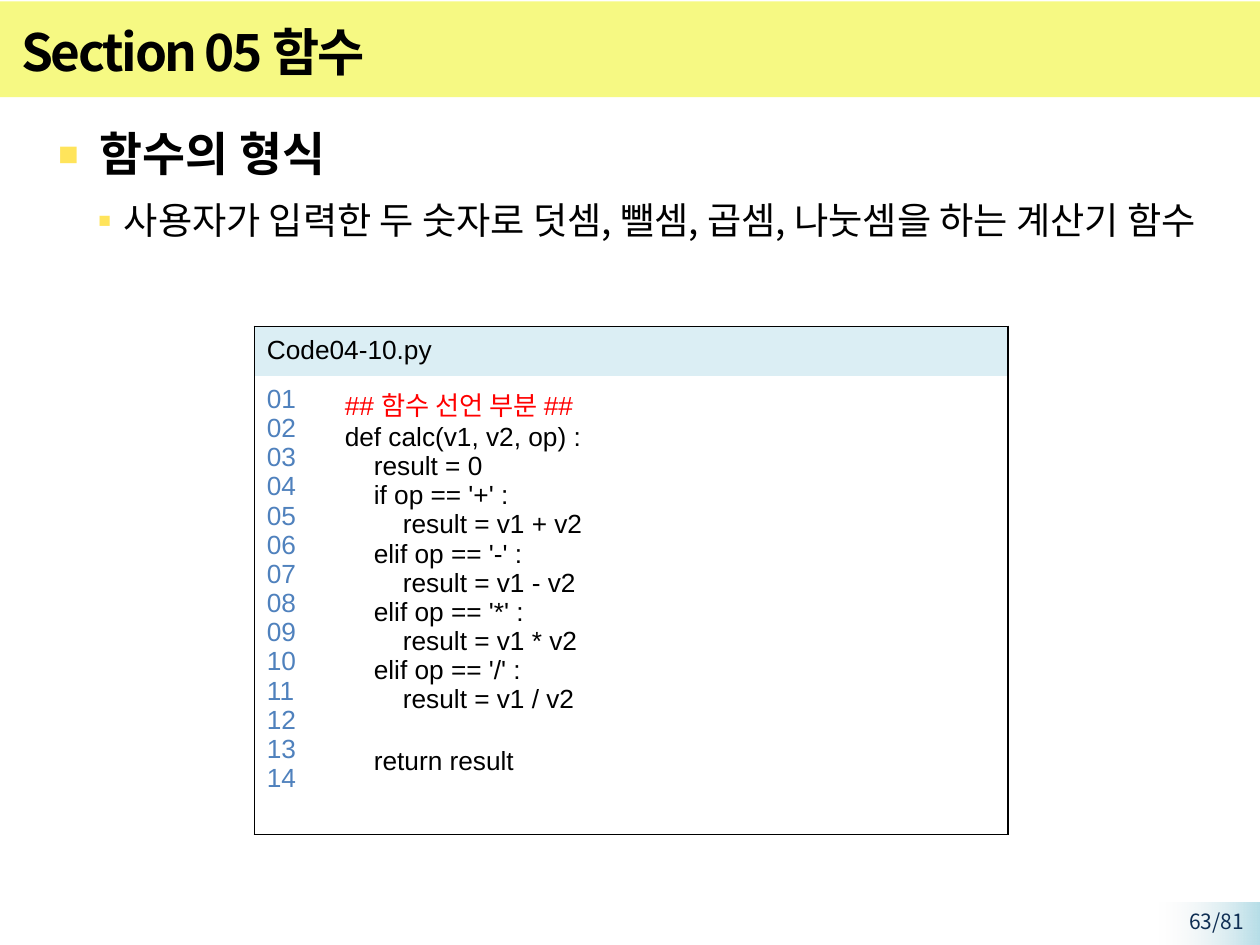
import pptx
import pptx.dml.color
import pptx.enum.shapes
import pptx.enum.text
import pptx.oxml
import pptx.oxml.ns
import pptx.util
from lxml import etree

Cm, Pt = pptx.util.Cm, pptx.util.Pt
qn = pptx.oxml.ns.qn
NOTO = "Noto Sans CJK KR"
NO_STYLE = "{2D5ABB26-0587-4C30-8999-92F81FD0307C}"
CODE = """## 함수 선언 부분 ##
def calc(v1, v2, op) :
    result = 0
    if op == '+' :
        result = v1 + v2
    elif op == '-' :
        result = v1 - v2
    elif op == '*' :
        result = v1 * v2
    elif op == '/' :
        result = v1 / v2

    return result"""


def rgb(color):
    """Turn a hex string into a colour."""
    return pptx.dml.color.RGBColor.from_string(color)


def style(p, size, color="000000", font=NOTO, bold=False):
    """Format a paragraph's runs, or its end mark when it is empty."""
    if not p.runs:
        p._p.get_or_add_endParaRPr().set("sz", str(size * 100))
    for r in p.runs:
        r.font.size, r.font.bold, r.font.name = Pt(size), bold, font
        r.font.color.rgb = rgb(color)
        etree.SubElement(r._r.get_or_add_rPr(), qn("a:ea"), typeface=NOTO)


def add_rect(s, left, top, width, height):
    """Add a rectangle without line or shadow."""
    kind = pptx.enum.shapes.MSO_SHAPE.RECTANGLE
    sp = s.shapes.add_shape(kind, left, top, width, height)
    sp.shadow.inherit = False
    sp.line.fill.background()
    return sp


def add_text(s, left, top, width, height, text):
    """Add a wrapping text box and return its frame."""
    tf = s.shapes.add_textbox(left, top, width, height).text_frame
    tf.word_wrap = True
    tf.text = text
    return tf


def add_header(s, left, top, width, height):
    """Add the title band."""
    band = add_rect(s, left, top, width, height)
    band.fill.solid()
    band.fill.fore_color.rgb = rgb("F6F983")
    tf = add_text(s, left + Cm(0.18), top + Cm(0.33), Cm(21.62), Cm(1.32), "Section 05 함수")
    tf.vertical_anchor = pptx.enum.text.MSO_ANCHOR.MIDDLE
    style(tf.paragraphs[0], 29.3, bold=True)
    tf.paragraphs[0].runs[0]._r.get_or_add_rPr().set("spc", "-130")


def add_bullet(p, margin, indent, percent):
    """Give a paragraph a yellow square bullet."""
    pPr = p._p.get_or_add_pPr()
    pPr.set("marL", str(Cm(margin)))
    pPr.set("indent", str(Cm(indent)))
    color = etree.SubElement(pPr, qn("a:buClr"))
    etree.SubElement(color, qn("a:srgbClr"), val="FFE45B")
    etree.SubElement(pPr, qn("a:buSzPct"), val=str(percent * 1000))
    etree.SubElement(pPr, qn("a:buFont"), typeface=NOTO)
    etree.SubElement(pPr, qn("a:buChar"), char="▪")


def add_body(s, left, top, width, height):
    """Add the heading and its explanation."""
    tf = add_text(s, left, top, width, height,
                  "함수의 형식\n사용자가 입력한 두 숫자로 덧셈, 뺄셈, 곱셈, 나눗셈을 하는 계산기 함수")
    looks = [(26.7, True, 1.32, -0.97, 130), (21.3, False, 1.98, -0.66, 100)]
    for level, (p, look) in enumerate(zip(tf.paragraphs, looks)):
        size, bold, margin, indent, percent = look
        p.level, p.line_spacing, p.space_before = level, 1.2, Pt(size * 0.2)
        add_bullet(p, margin, indent, percent)
        style(p, size, bold=bold)


def add_border(cell, sides):
    """Draw black lines on the named sides of a cell."""
    tcPr = cell._tc.get_or_add_tcPr()
    for side in sides:
        ln = etree.SubElement(tcPr, qn("a:ln" + side), w=str(Pt(1)))
        fill = etree.SubElement(ln, qn("a:solidFill"))
        etree.SubElement(fill, qn("a:srgbClr"), val="000000")


def fill_cell(cell, text, color, sides):
    """Write a cell's text and draw its outer borders."""
    cell.text = text
    cell.margin_left = cell.margin_right = Cm(0.25)
    cell.margin_top = cell.margin_bottom = Cm(0.18)
    for p in cell.text_frame.paragraphs:
        style(p, 15, color, "Arial")
    add_border(cell, sides)
    cell.fill.background()


def add_listing(s, left, top, width, height):
    """Add the code listing with its file name and line numbers."""
    table = s.shapes.add_table(2, 2, left, top, width, height).table
    table.first_row = table.horz_banding = False
    table._tbl.tblPr.find(qn("a:tableStyleId")).text = NO_STYLE
    table.columns[0].width = Cm(1.57)
    table.columns[1].width = width - Cm(1.57)
    table.rows[0].height = Cm(0.99)
    table.rows[1].height = height - Cm(0.99)
    name, numbers, code = table.cell(0, 0), table.cell(1, 0), table.cell(1, 1)
    name.merge(table.cell(0, 1))
    fill_cell(name, "Code04-10.py", "000000", "LRT")
    name.fill.solid()
    name.fill.fore_color.rgb = rgb("DBEEF4")
    add_border(table.cell(0, 1), "RT")
    fill_cell(numbers, "\n".join(f"{n:02}" for n in range(1, 15)), "4F81BD", "LB")
    fill_cell(code, CODE, "000000", "RB")
    code.text_frame.paragraphs[0].runs[0].font.color.rgb = rgb("FF0000")


def add_page_number(s, left, top, width, height):
    """Add the fading corner with the page number."""
    corner = add_rect(s, left, top, width, height)
    corner.fill.gradient()
    corner.fill.gradient_angle = 180
    for stop, color in zip(corner.fill.gradient_stops, ("B7DEE8", "F2F2F2")):
        stop.color.rgb = rgb(color)
    last = corner._element.spPr.findall(".//" + qn("a:srgbClr"))[-1]
    etree.SubElement(last, qn("a:alpha"), val="0")
    tf = add_text(s, left - Cm(0.38), top, Cm(2.34), Cm(0.58), "63/81")
    tf.paragraphs[0].alignment = pptx.enum.text.PP_ALIGN.RIGHT
    style(tf.paragraphs[0], 12, "0F2E53")


def main():
    """Build the slide and save it."""
    prs = pptx.Presentation()
    prs.slide_width, prs.slide_height = Cm(25.4), Cm(19.05)
    s = prs.slides.add_slide(prs.slide_layouts[6])
    add_header(s, 0, Cm(0.03), prs.slide_width, Cm(1.93))
    add_page_number(s, Cm(23.37), Cm(18.19), Cm(2.03), Cm(0.94))
    add_body(s, Cm(0.18), Cm(2.16), Cm(24.89), Cm(15.75))
    add_listing(s, Cm(5.13), Cm(6.58), Cm(15.19), Cm(10.21))
    prs.save("out.pptx")


if __name__ == "__main__":
    main()
